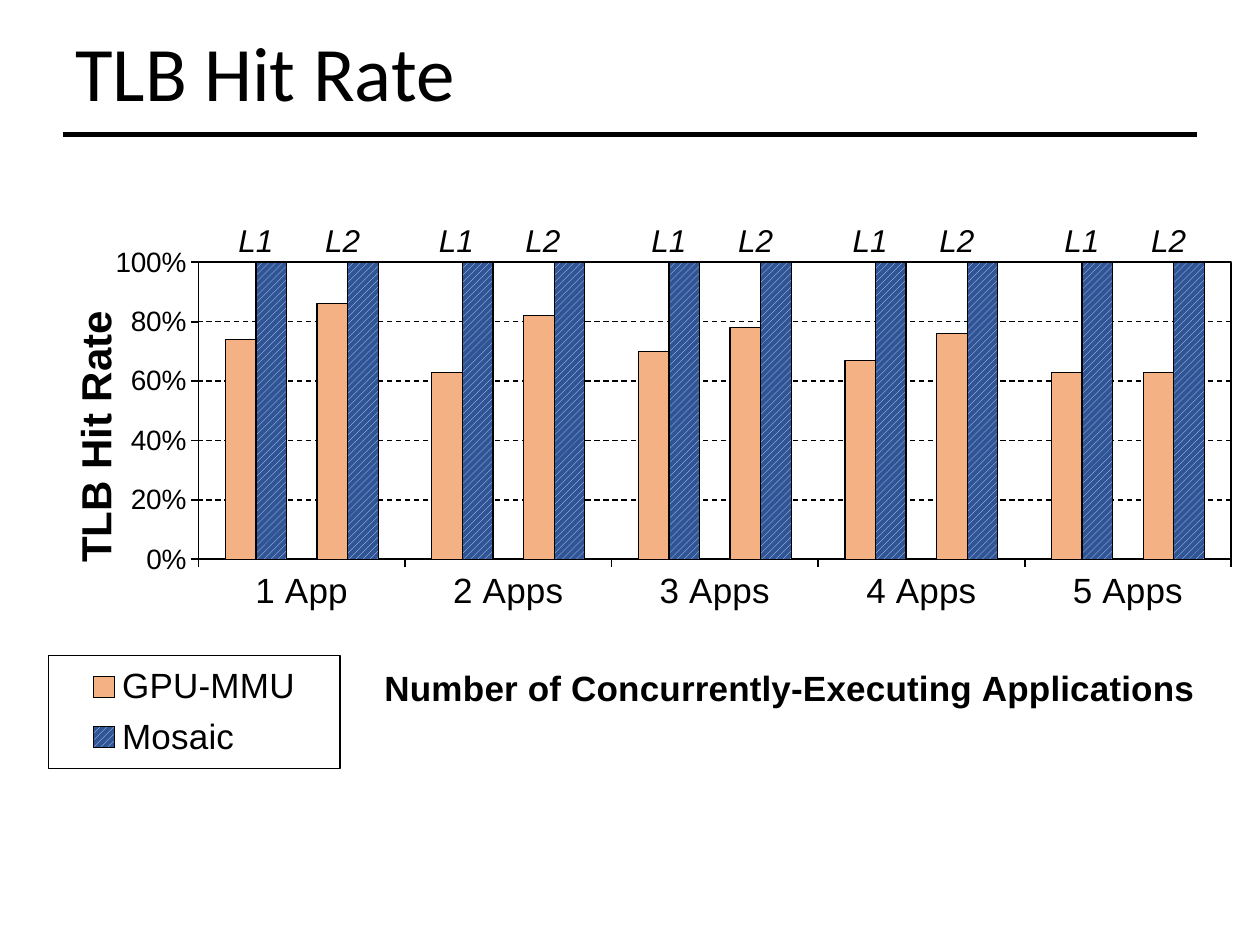
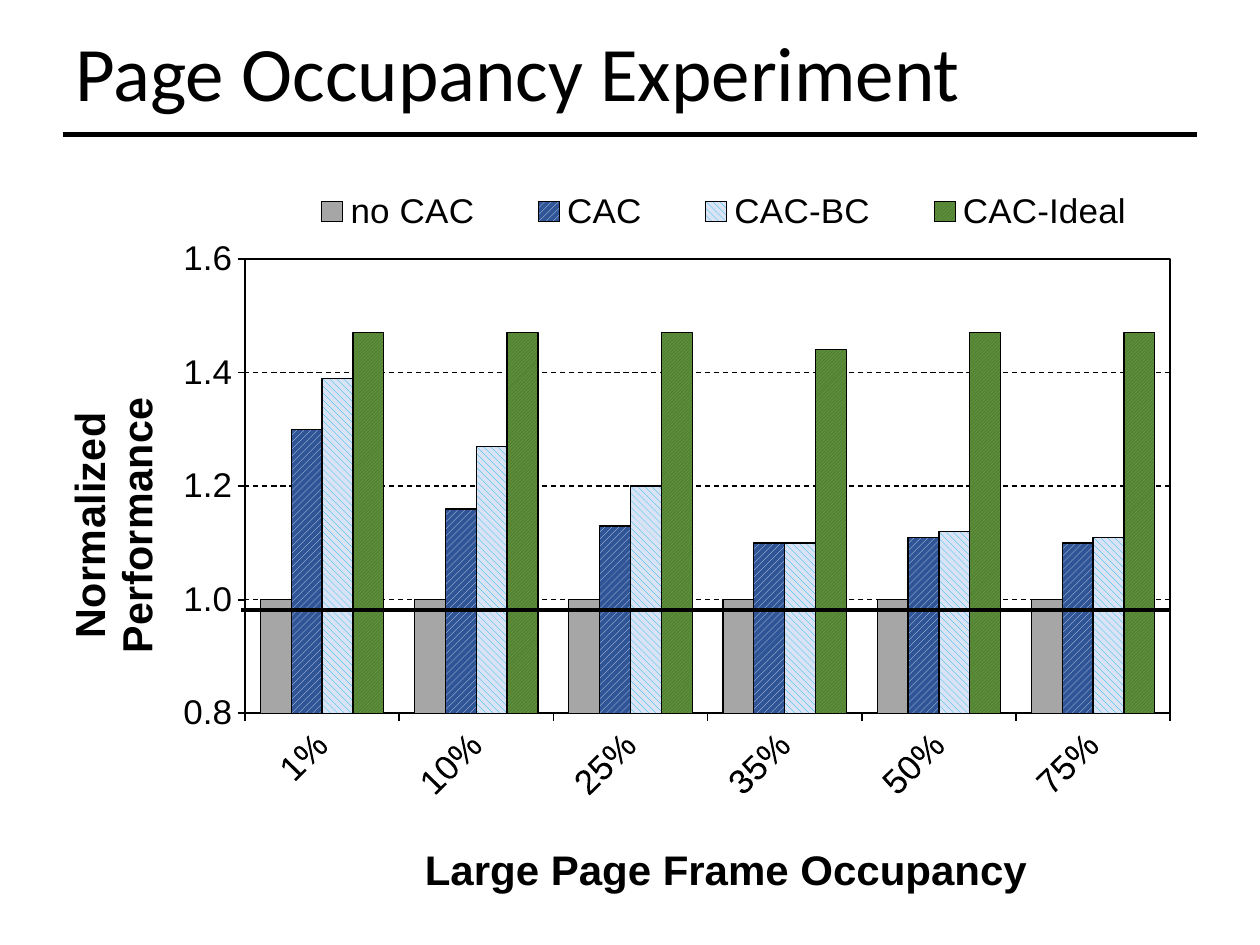
from dataclasses import dataclass

from lxml.etree import SubElement
from pptx import Presentation
from pptx.chart.data import CategoryChartData
from pptx.dml.color import RGBColor
from pptx.enum.chart import XL_CHART_TYPE, XL_LEGEND_POSITION, XL_TICK_MARK
from pptx.enum.dml import MSO_LINE, MSO_PATTERN
from pptx.enum.shapes import MSO_CONNECTOR
from pptx.enum.text import MSO_ANCHOR, MSO_AUTO_SIZE, PP_ALIGN
from pptx.oxml import parse_xml
from pptx.oxml.ns import nsdecls, qn
from pptx.util import Pt


@dataclass(frozen=True)
class Theme:
    ink: str = "000000"
    paper: str = "FFFFFF"
    orange: str = "F4B183"
    grey: str = "A6A6A6"
    blue_stripes: tuple = (MSO_PATTERN.WIDE_UPWARD_DIAGONAL, "DAE3F3", "2F5597")
    sky_stripes: tuple = (MSO_PATTERN.WIDE_DOWNWARD_DIAGONAL, "00B0F0", "DAE3F3")
    green_stripes: tuple = (MSO_PATTERN.LIGHT_UPWARD_DIAGONAL, "70AD47", "548235")
    title_font: str = "Calibri"
    body_font: str = "Arial"
    title_size: int = 44
    axis_title_size: int = 24
    label_size: int = 20
    level_size: int = 18
    small_size: int = 16


THEME = Theme()


def apply_format(target, values):
    for name, value in values.items():
        setattr(target, name, value)


def format_font(font, size, **values):
    apply_format(font, {"size": Pt(size), "name": THEME.body_font, **values})
    font.color.rgb = RGBColor.from_string(THEME.ink)


def format_line(line, width, **values):
    line.color.rgb = RGBColor.from_string(THEME.ink)
    apply_format(line, {"width": Pt(width), **values})


def format_fill(fill, paint):
    if paint is None:
        fill.background()
    elif isinstance(paint, str):
        fill.solid()
        fill.fore_color.rgb = RGBColor.from_string(paint)
    else:
        fill.patterned()
        fill.pattern, front, back = paint
        fill.fore_color.rgb = RGBColor.from_string(front)
        fill.back_color.rgb = RGBColor.from_string(back)


def add_text(slide, box, text, size, align=PP_ALIGN.LEFT, frame_format=None, line_spacing=None, **font_values):
    shape = slide.shapes.add_textbox(*map(Pt, box))
    apply_format(shape.text_frame, {"word_wrap": True, **(frame_format or {})})
    paragraph = shape.text_frame.paragraphs[0]
    apply_format(paragraph, {"alignment": align, "line_spacing": line_spacing})
    run = paragraph.add_run()
    run.text = text
    format_font(run.font, size, **font_values)


def add_rule(slide, left, right, top, width):
    connector = slide.shapes.add_connector(
        MSO_CONNECTOR.STRAIGHT, Pt(left), Pt(top), Pt(right), Pt(top))
    format_line(connector.line, width)
    SubElement(connector.element.spPr, qn("a:effectLst"))


def add_title(slide, text):
    add_text(slide, (36, 10, 648, 67), text, THEME.title_size, line_spacing=0.9,
             frame_format={"vertical_anchor": MSO_ANCHOR.MIDDLE}, name=THEME.title_font)
    add_rule(slide, 36, 684, 77, 3)


def place(element, left, top, width=None, height=None, inner=False):
    for previous in element.findall(qn("c:layout")):
        element.remove(previous)
    layout = parse_xml(f"<c:layout {nsdecls('c')}><c:manualLayout/></c:layout>")
    values = {"layoutTarget": "inner"} if inner else {}
    values |= {"xMode": "edge", "yMode": "edge", "x": left, "y": top}
    if width:
        values |= {"w": width, "h": height}
    for name, value in values.items():
        SubElement(layout[0], qn(f"c:{name}")).set("val", str(value))
    overlay = element.find(qn("c:overlay"))
    if overlay is None:
        element.insert(0, layout)
    else:
        overlay.addprevious(layout)


def border(width, fill):
    return parse_xml(
        f'<c:spPr {nsdecls("c", "a")}>{fill}<a:ln w="{Pt(width)}"><a:solidFill>'
        f'<a:srgbClr val="{THEME.ink}"/></a:solidFill></a:ln></c:spPr>')


def format_axis(axis, title, title_size, title_place, label_size, **values):
    apply_format(axis, {"major_tick_mark": XL_TICK_MARK.OUTSIDE,
                        "minor_tick_mark": XL_TICK_MARK.NONE, **values})
    format_line(axis.format.line, 1)
    format_font(axis.tick_labels.font, label_size)
    frame = axis.axis_title.text_frame
    frame.text = title
    for paragraph in frame.paragraphs:
        paragraph.alignment = PP_ALIGN.CENTER
        for run in paragraph.runs:
            format_font(run.font, title_size, bold=True)
    place(axis.axis_title.element, *title_place)


def format_value_axis(axis, number_format, **values):
    format_axis(axis, major_unit=0.2, has_major_gridlines=True, **values)
    apply_format(axis.tick_labels, {"number_format": number_format,
                                    "number_format_is_linked": False})
    format_line(axis.major_gridlines.format.line, 0.75, dash_style=MSO_LINE.DASH)
    body = axis.axis_title.element.xpath(".//a:bodyPr")[0]
    body.set("rot", "-5400000")
    body.set("vert", "horz")


def add_legend(chart, box, hidden=(), framed=False):
    chart.has_legend = True
    apply_format(chart.legend, {"position": XL_LEGEND_POSITION.RIGHT, "include_in_layout": False})
    format_font(chart.legend.font, THEME.label_size)
    element = chart.element.xpath(".//c:legend")[0]
    overlay = element.find(qn("c:overlay"))
    for index in hidden:
        overlay.addprevious(parse_xml(
            f'<c:legendEntry {nsdecls("c")}><c:idx val="{index}"/>'
            '<c:delete val="1"/></c:legendEntry>'))
    place(element, *box)
    if framed:
        fill = f'<a:solidFill><a:srgbClr val="{THEME.paper}"/></a:solidFill>'
        overlay.addnext(border(0.75, fill))


def add_column_chart(slide, box, categories, series, gap, plot_box):
    data = CategoryChartData()
    data.categories = categories
    for name, values, _ in series:
        data.add_series(name, values)
    chart = slide.shapes.add_chart(
        XL_CHART_TYPE.COLUMN_CLUSTERED, *map(Pt, box), data).chart
    chart.has_title = False
    format_font(chart.font, 10)
    plot = chart.plots[0]
    apply_format(plot, {"gap_width": gap, "overlap": 0, "vary_by_categories": False})
    for column, (_, _, paint) in zip(plot.series, series):
        column.invert_if_negative = False
        format_fill(column.format.fill, paint)
        if paint is None:
            column.format.line.fill.background()
        else:
            format_line(column.format.line, 0.75)
    area = chart.element.xpath(".//c:plotArea")[0]
    place(area, *plot_box, inner=True)
    area.append(border(1, "<a:noFill/>"))
    return chart


def build_hit_rate(slide):
    full = (1,) * 5
    series = [
        ("GPU-MMU", (0.74, 0.63, 0.70, 0.67, 0.63), THEME.orange),
        ("Mosaic", full, THEME.blue_stripes),
        ("Series 3", (1,), None),
        ("Series 4", (0.86, 0.82, 0.78, 0.76, 0.63), THEME.orange),
        ("Series 5", full, THEME.blue_stripes),
    ]
    categories = ["1 App"] + [f"{count} Apps" for count in range(2, 6)]
    chart = add_column_chart(slide, (27.5, 122.5, 679.5, 318), categories, series,
                             175, (0.126, 0.086, 0.869, 0.534))
    format_axis(chart.category_axis, "Number of Concurrently-Executing Applications",
                THEME.label_size, (0.277, 0.8), THEME.label_size)
    format_value_axis(chart.value_axis, "0%", title="TLB Hit Rate",
                      title_size=THEME.axis_title_size, title_place=(0.01, 0.16),
                      label_size=THEME.small_size, minimum_scale=0, maximum_scale=1)
    add_legend(chart, (0, 0.793, 0.245, 0.203), hidden=(2, 3, 4), framed=True)
    for pair_left in (129, 243.5, 365, 480, 601):
        for index, level in enumerate(("L1", "L2")):
            add_text(slide, (pair_left + 49.5 * index, 122.5, 34.5, 29), level,
                     THEME.level_size, PP_ALIGN.CENTER, italic=True,
                     frame_format={"word_wrap": False,
                                   "auto_size": MSO_AUTO_SIZE.SHAPE_TO_FIT_TEXT})
    add_title(slide, "TLB Hit Rate")


def build_occupancy(slide):
    series = [
        ("no CAC", (1,) * 6, THEME.grey),
        ("CAC", (1.30, 1.16, 1.13, 1.10, 1.11, 1.10), THEME.blue_stripes),
        ("CAC-BC", (1.39, 1.27, 1.20, 1.10, 1.12, 1.11), THEME.sky_stripes),
        ("CAC-Ideal", (1.47, 1.47, 1.47, 1.44, 1.47, 1.47), THEME.green_stripes),
    ]
    categories = [f"{percent}%" for percent in (1, 10, 25, 35, 50, 75)]
    chart = add_column_chart(slide, (28, 90.5, 674.5, 427.5), categories, series,
                             100, (0.166, 0.137, 0.784, 0.619))
    format_axis(chart.category_axis, "Large Page Frame Occupancy",
                THEME.axis_title_size, (0.312, 0.922), THEME.label_size)
    chart.element.xpath(".//c:catAx/c:txPr/a:bodyPr")[0].set("rot", "-2700000")
    format_value_axis(chart.value_axis, "#,##0.0", title="Normalized\nPerformance",
                      title_size=THEME.axis_title_size, title_place=(0.01, 0.326),
                      label_size=THEME.label_size, minimum_scale=0.8, maximum_scale=1.6)
    add_legend(chart, (0.187, 0.04, 0.77, 0.065))
    add_rule(slide, 138, 669, 348.5, 2)
    add_title(slide, "Page Occupancy Experiment")


def main():
    presentation = Presentation()
    apply_format(presentation, {"slide_width": Pt(720), "slide_height": Pt(540)})
    for build in (build_hit_rate, build_occupancy):
        build(presentation.slides.add_slide(presentation.slide_layouts[6]))
    presentation.save("out.pptx")


if __name__ == "__main__":
    main()
